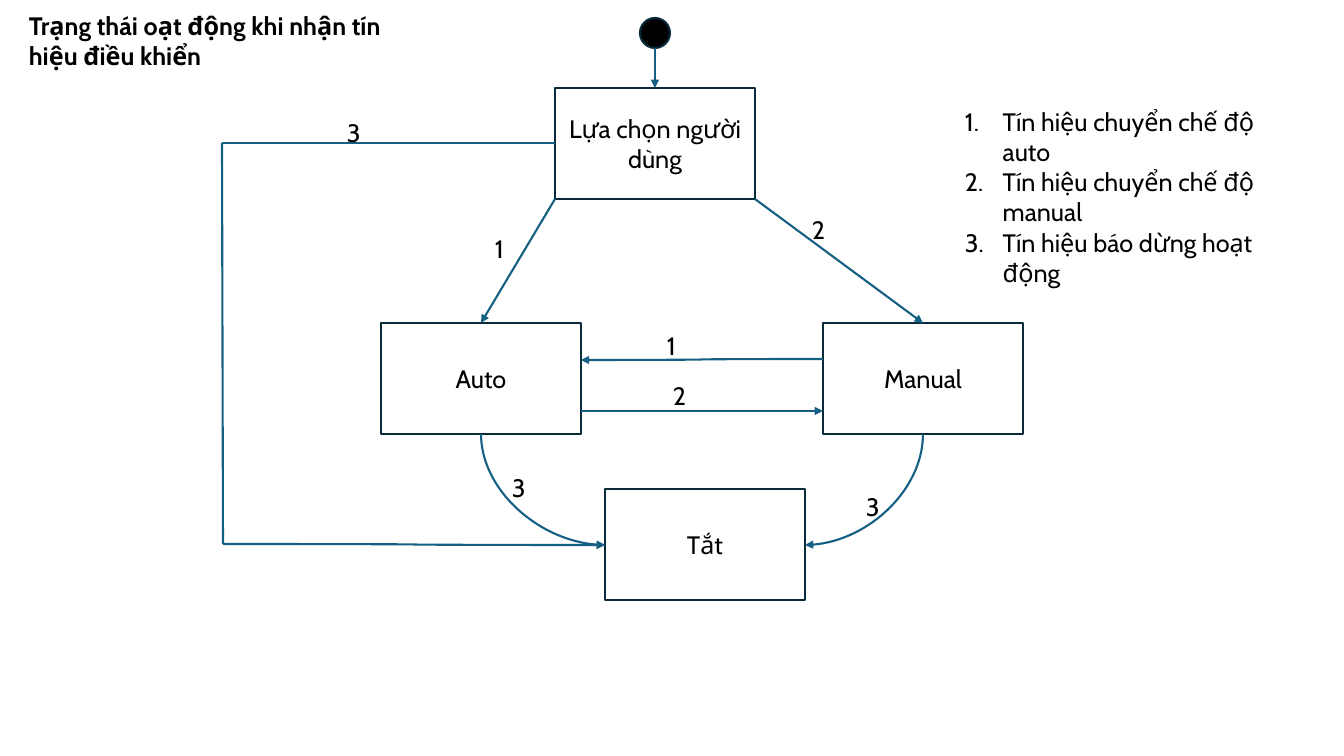
import pptx
import pptx.dml.color
import pptx.enum.shapes
import pptx.enum.text
import pptx.oxml
import pptx.oxml.ns
import pptx.util
from dataclasses import dataclass

PX = 914400 / 100.8
STATE_W, STATE_H = 200, 111
SHAPES = pptx.enum.shapes.MSO_SHAPE
LINES = pptx.enum.shapes.MSO_CONNECTOR
QN = pptx.oxml.ns.qn


@dataclass(frozen=True)
class Theme:
    font: str = "Cabin"
    size: int = 18
    line_width: float = 1.5
    ink: str = "000000"
    paper: str = "FFFFFF"
    outline: str = "092A39"
    arrow: str = "156082"


THEME = Theme()


def px(*lengths):
    return [pptx.util.Emu(round(length * PX)) for length in lengths]


def colour(code):
    return pptx.dml.color.RGBColor.from_string(code)


def set_values(target, values):
    for name, value in values.items():
        setattr(target, name, value)


def add_element(parent, tag, **attributes):
    element = pptx.oxml.parse_xml(f"<{tag} {pptx.oxml.ns.nsdecls('a')}/>")
    for name, value in attributes.items():
        element.set(name, str(value))
    parent.append(element)


def write(para, text, bold=False):
    span = para.add_run()
    span.text = text
    set_values(span.font, {"name": THEME.font, "bold": bold,
                           "size": pptx.util.Pt(THEME.size)})
    span.font.color.rgb = colour(THEME.ink)


def style_line(line, code):
    line.color.rgb = colour(code)
    line.width = pptx.util.Pt(THEME.line_width)


def add_node(page, kind, place, fill, text=""):
    node = page.shapes.add_shape(kind, *px(*place))
    node.shadow.inherit = False
    node.fill.solid()
    node.fill.fore_color.rgb = colour(fill)
    style_line(node.line, THEME.outline)
    if text:
        set_values(node.text_frame, {
            "word_wrap": True,
            "vertical_anchor": pptx.enum.text.MSO_ANCHOR.MIDDLE})
        para = node.text_frame.paragraphs[0]
        para.alignment = pptx.enum.text.PP_ALIGN.CENTER
        write(para, text)


def add_text(page, place, lines, bold=False, wrap=True, numbered=False):
    box = page.shapes.add_textbox(*px(*place))
    set_values(box.text_frame, {
        "word_wrap": wrap,
        "auto_size": pptx.enum.text.MSO_AUTO_SIZE.SHAPE_TO_FIT_TEXT})
    for index, text in enumerate(lines):
        frame = box.text_frame
        para = frame.add_paragraph() if index else frame.paragraphs[0]
        if numbered:
            props = para._p.get_or_add_pPr()
            props.set("marL", "342900")
            props.set("indent", "-342900")
            add_element(props, "a:buAutoNum", type="arabicPeriod")
        write(para, text, bold)


def add_link(page, start, end, kind=LINES.STRAIGHT, arrow=True):
    link = page.shapes.add_connector(kind, *px(*start, *end))
    style_line(link.line, THEME.arrow)
    if arrow:
        add_element(link.line._get_or_add_ln(), "a:tailEnd", type="triangle")
    add_element(link._element.spPr, "a:effectLst")
    return link


def add_bend(page, start, end):
    """Curve that leaves downwards and arrives sideways: a turned quarter arc."""
    (x1, y1), (x2, y2) = start, end
    mid_x, mid_y = (x1 + x2) / 2, (y1 + y2) / 2
    half_w, half_h = (y2 - y1) / 2, abs(x2 - x1) / 2
    side, turn = (1, 270) if x2 > x1 else (-1, 90)
    link = add_link(page, (mid_x + side * half_w, mid_y - half_h),
                    (mid_x - side * half_w, mid_y + half_h), LINES.CURVE)
    props = link._element.spPr
    props.find(QN("a:xfrm")).set("rot", str(turn * 60000))
    props.find(QN("a:prstGeom")).set("prst", "curvedConnector2")


def main():
    deck = pptx.Presentation()
    deck.slide_width, deck.slide_height = px(1344, 756)
    page = deck.slides.add_slide(deck.slide_layouts[6])

    add_node(page, SHAPES.FLOWCHART_CONNECTOR, (640, 18, 30, 30), THEME.ink)
    states = {"Lựa chọn người dùng": (555, 88), "Auto": (381, 323),
              "Manual": (823, 323), "Tắt": (605, 489)}
    for name, corner in states.items():
        add_node(page, SHAPES.RECTANGLE, (*corner, STATE_W, STATE_H),
                 THEME.paper, name)

    add_link(page, (655, 48), (655, 88))
    add_link(page, (555, 199), (481, 323))
    add_link(page, (755, 199), (923, 323))
    add_link(page, (823, 359), (581, 360), LINES.CURVE)
    add_link(page, (581, 411), (823, 411))
    add_bend(page, (481, 434), (605, 545))
    add_bend(page, (923, 434), (805, 545))
    add_link(page, (555, 143), (222, 143), arrow=False)
    add_link(page, (223, 544), (222, 143), arrow=False)
    add_link(page, (223, 544), (605, 545), LINES.CURVE)

    labels = [("3", 337, 112), ("1", 485, 228), ("2", 802, 209),
              ("1", 657, 325), ("2", 663, 375), ("3", 502, 467),
              ("3", 856, 486)]
    for number, left, top in labels:
        add_text(page, (left, top, 34, 40), [number], wrap=False)

    add_text(page, (955, 101, 311, 254), [
        "Tín hiệu chuyển chế độ auto",
        "Tín hiệu chuyển chế độ manual",
        "Tín hiệu báo dừng hoạt động"], numbered=True)
    add_text(page, (19, 5, 409, 72),
             ["Trạng thái oạt động khi nhận tín hiệu điều khiển"], bold=True)
    deck.save("out.pptx")


if __name__ == "__main__":
    main()
